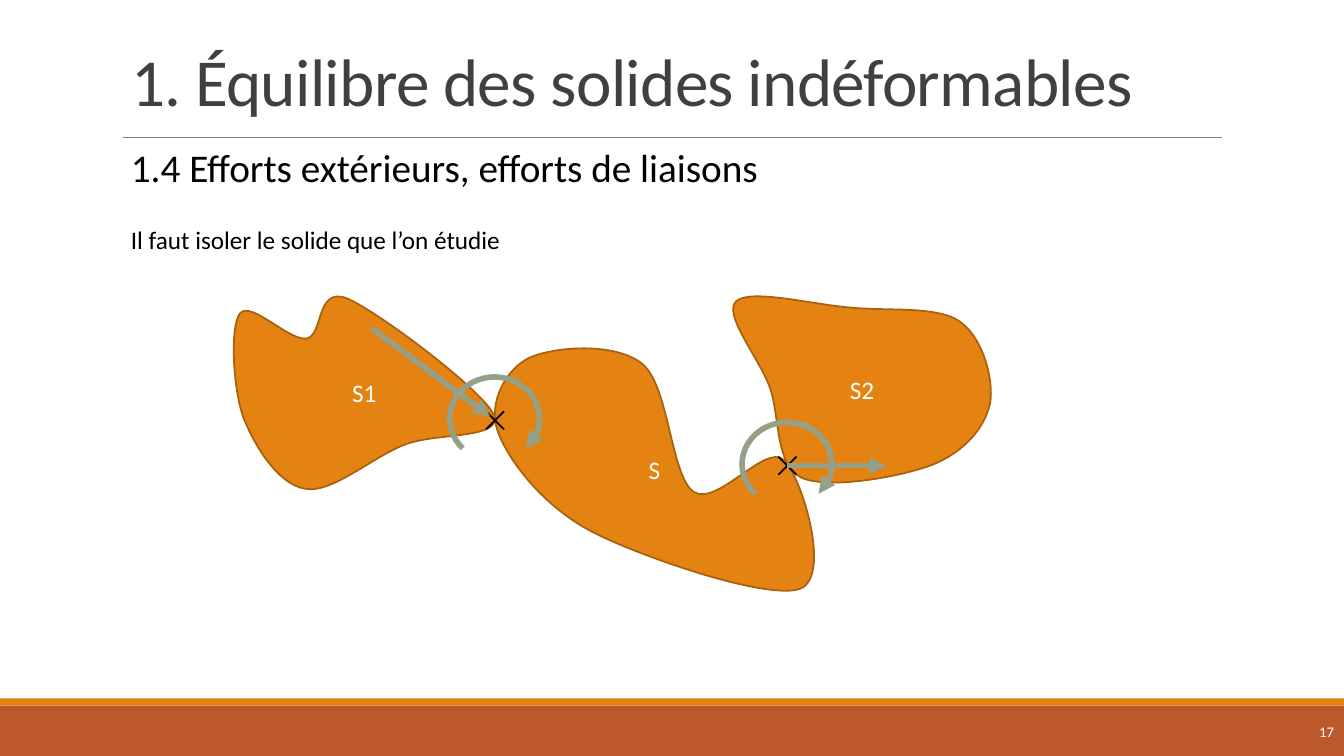
import dataclasses

import pptx
import pptx.dml.color
import pptx.enum.shapes
import pptx.enum.text
import pptx.oxml.ns
import pptx.util
from lxml import etree

Inches = pptx.util.Inches
Pt = pptx.util.Pt
RGB = pptx.dml.color.RGBColor.from_string
SHAPE = pptx.enum.shapes.MSO_SHAPE
ALIGN = pptx.enum.text.PP_ALIGN
ANCHOR = pptx.enum.text.MSO_ANCHOR
qn = pptx.oxml.ns.qn


@dataclasses.dataclass(frozen=True)
class Theme:
    """Colours, font and type sizes of the slide."""
    font: str = "Calibri"
    orange: str = "E48312"
    outline: str = "A9610D"
    rust: str = "BD582C"
    sage: str = "94A088"
    rule: str = "808080"
    title: str = "404040"
    black: str = "000000"
    white: str = "FFFFFF"
    title_size: float = 48
    heading_size: float = 28
    body_size: float = 18
    number_size: float = 10.5
    thin: float = 0.5
    edge: float = 1.25
    force: float = 4


THEME = Theme()

SOLIDS = {
    "S": ((2.94, 2.29), [
        (2.83, 2, 3.02, 1.66, 3.25, 1.55), (3.49, 1.44, 4.1, 1.39, 4.37, 1.61),
        (4.64, 1.83, 4.65, 2.72, 4.88, 2.88), (5.11, 3.03, 5.59, 2.4, 5.77, 2.56),
        (5.95, 2.72, 6.25, 3.71, 5.94, 3.84), (5.63, 3.96, 4.4, 3.54, 3.9, 3.29),
        (3.4, 3.04, 3.05, 2.58, 2.94, 2.29)]),
    "S1": ((0.41, 2.13), [
        (0.31, 1.84, 0.28, 1.24, 0.38, 1.11), (0.49, 0.98, 0.86, 1.38, 1.04, 1.36),
        (1.21, 1.33, 1.13, 0.84, 1.44, 0.96), (1.75, 1.09, 2.8, 1.88, 2.9, 2.12),
        (2.99, 2.36, 2.33, 2.29, 2.02, 2.41), (1.7, 2.53, 1.29, 2.9, 1.03, 2.85),
        (0.76, 2.81, 0.52, 2.42, 0.41, 2.13)]),
    "S2": ((5.63, 1.83), [
        (5.52, 1.54, 5.17, 1.12, 5.3, 0.99), (5.44, 0.86, 6.05, 1.02, 6.42, 1.05),
        (6.79, 1.09, 7.29, 1.03, 7.52, 1.19), (7.75, 1.35, 7.86, 1.77, 7.82, 2),
        (7.77, 2.24, 7.57, 2.48, 7.25, 2.61), (6.94, 2.73, 6.22, 2.86, 5.95, 2.74),
        (5.68, 2.61, 5.74, 2.12, 5.63, 1.83)]),
}


def write(sp, text, size, color, align=ALIGN.LEFT, anchor=ANCHOR.TOP, wrap=True,
          spacing=None, tracking=0):
    """Put one formatted paragraph into a shape."""
    tf = sp.text_frame
    tf.auto_size = pptx.enum.text.MSO_AUTO_SIZE.NONE
    tf.word_wrap, tf.vertical_anchor = wrap, anchor
    p = tf.paragraphs[0]
    p.alignment, p.line_spacing = align, spacing
    r = p.add_run()
    r.text = text
    r.font.name, r.font.size = THEME.font, Pt(size)
    r.font.color.rgb = RGB(color)
    if tracking:
        r.font._element.set("spc", str(int(tracking * 100)))


def text_box(slide, box, text, size, color, **form):
    """Add a text box with one paragraph."""
    write(slide.shapes.add_textbox(*map(Inches, box)), text, size, color, **form)


def stroke(sp, color, width, arrow=False):
    """Format the line of a shape or connector, with an optional end arrow."""
    sp.line.color.rgb = RGB(color)
    sp.line.width = Pt(width)
    if arrow:
        etree.SubElement(sp.line._ln, qn("a:tailEnd"), type="triangle")


def paint(sp, color):
    """Give a shape a flat fill without shadow."""
    sp.shadow.inherit = False
    sp.fill.solid()
    sp.fill.fore_color.rgb = RGB(color)


def segment(slide, x1, y1, x2, y2, color, width, arrow=False):
    """Draw a straight line between two points."""
    cx = slide.shapes.add_connector(pptx.enum.shapes.MSO_CONNECTOR.STRAIGHT,
                                    *map(Inches, (x1, y1, x2, y2)))
    stroke(cx, color, width, arrow)
    etree.SubElement(cx._element.spPr, qn("a:effectLst"))


def footer(slide, box, number):
    """Draw the two footer bands and the slide number."""
    x, y, w, h = box
    for top, height, color in ((0.07, h - 0.07, THEME.rust), (0, 0.07, THEME.orange)):
        sp = slide.shapes.add_shape(SHAPE.RECTANGLE, *map(Inches, (x, y + top, w, height)))
        paint(sp, color)
        sp.line.fill.background()
    text_box(slide, (x + w - 1.43, y + 0.13, 1.43, 0.4), number, THEME.number_size,
             THEME.white, align=ALIGN.RIGHT, anchor=ANCHOR.MIDDLE)


def header(slide, box, title, heading, body):
    """Place the title, the rule under it, the heading and the body line."""
    x, y, w, h = box
    sp = slide.shapes.title
    sp.left, sp.top, sp.width, sp.height = map(Inches, (x, y, w, 0.93))
    write(sp, title, THEME.title_size, THEME.title, anchor=ANCHOR.BOTTOM,
          spacing=0.85, tracking=-0.5)
    segment(slide, x + 0.02, y + 1.05, x + 10.92, y + 1.05, THEME.rule, THEME.thin)
    text_box(slide, (x, y + 1.06, 6.42, 0.57), heading, THEME.heading_size,
             THEME.black, wrap=False)
    text_box(slide, (x, y + h - 0.4, 3.91, 0.4), body, THEME.body_size,
             THEME.black, wrap=False)


def trace(start, curves, steps=24):
    """Return points along the cubic curves, which give the outline's extent."""
    points = [start]
    for curve in curves:
        knots = [points[-1], curve[:2], curve[2:4], curve[4:]]
        for t in (i / steps for i in range(1, steps + 1)):
            weights = ((1 - t) ** 3, 3 * t * (1 - t) ** 2, 3 * t * t * (1 - t), t ** 3)
            points.append(tuple(sum(k * knot[axis] for k, knot in zip(weights, knots))
                                for axis in (0, 1)))
    return points


def solid(slide, x, y, name, start, curves):
    """Draw one labelled solid, bounded by cubic curves, relative to a corner."""
    points = [(Inches(x + px), Inches(y + py)) for px, py in trace(start, curves)]
    fb = slide.shapes.build_freeform(*points[0])
    sp = fb.add_line_segments(points[1:], close=True).convert_to_shape()
    outline = sp._element.spPr.find(".//" + qn("a:path"))
    for line in outline.findall(qn("a:lnTo")):
        outline.remove(line)
    for curve in curves:
        bend = etree.Element(qn("a:cubicBezTo"))
        for px, py in zip(curve[::2], curve[1::2]):
            etree.SubElement(bend, qn("a:pt"), x=str(Inches(x + px) - sp.left),
                             y=str(Inches(y + py) - sp.top))
        outline.insert(len(outline) - 1, bend)
    paint(sp, THEME.orange)
    stroke(sp, THEME.outline, THEME.edge)
    write(sp, name, THEME.body_size, THEME.white, align=ALIGN.CENTER, anchor=ANCHOR.MIDDLE)


def joint(slide, x, y, tail, head):
    """Draw a contact point with its force arrow and its moment arc."""
    for d in (0.09, -0.09):
        segment(slide, x - 0.09, y - d, x + 0.09, y + d, THEME.black, THEME.edge)
    segment(slide, x + tail[0], y + tail[1], x + head[0], y + head[1],
            THEME.sage, THEME.force, arrow=True)
    sp = slide.shapes.add_shape(SHAPE.ARC, *map(Inches, (x - 0.45, y - 0.43, 0.89, 0.83)))
    sp.shadow.inherit = False
    sp.adjustments[0], sp.adjustments[1] = 82.27, 25.86
    sp.fill.background()
    stroke(sp, THEME.sage, THEME.force, arrow=True)


def diagram(slide, x, y):
    """Draw the three solids and the two joints between them."""
    for name, (start, curves) in SOLIDS.items():
        solid(slide, x, y, name, start, curves)
    joint(slide, x + 2.91, y + 2.17, (-1.22, -0.91), (-0.05, -0.04))
    joint(slide, x + 5.81, y + 2.62, (0, 0), (0.98, 0))


prs = pptx.Presentation()
prs.slide_width, prs.slide_height = Inches(13.33), Inches(7.5)
page = prs.slides.add_slide(prs.slide_layouts[5])
footer(page, (0, 6.93, 13.33, 0.57), "17")
header(page, (1.2, 0.31, 11, 2.27), "1. Équilibre des solides indéformables",
       "1.4 Efforts extérieurs, efforts de liaisons",
       "Il faut isoler le solide que l’on étudie")
diagram(page, 2, 2)
prs.save("out.pptx")
